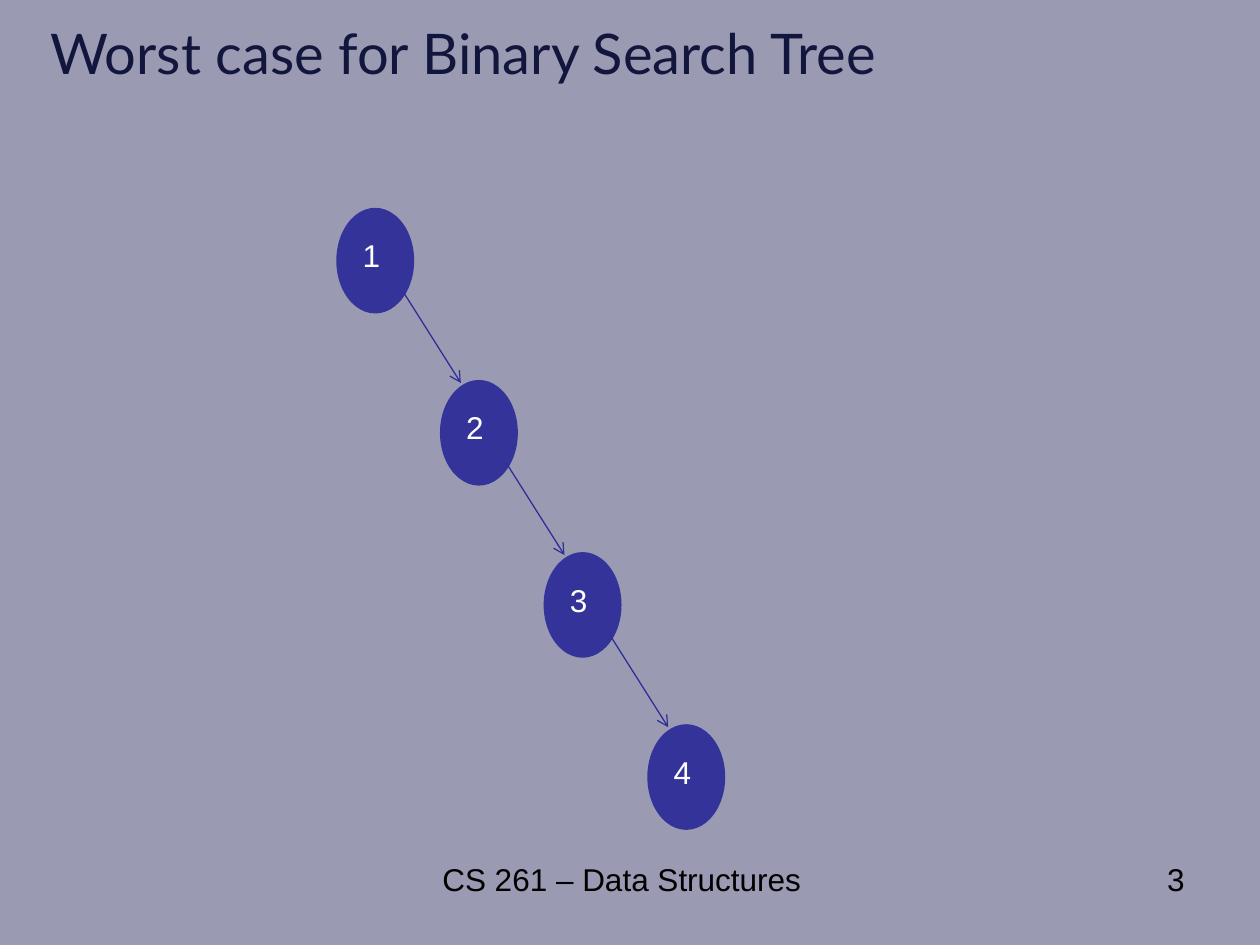
from dataclasses import dataclass

import pptx
import pptx.dml.color
import pptx.enum.shapes
import pptx.enum.text
import pptx.oxml
import pptx.oxml.ns
import pptx.shapes.group
import pptx.util

Cm = pptx.util.Cm
Align = pptx.enum.text.PP_ALIGN
Anchor = pptx.enum.text.MSO_ANCHOR

BACKGROUND = "9B9AB3"
NODE_FILL = "333399"
ARROW_LINE = "2F2F98"
FIRST_LEFT, FIRST_TOP = 6.78, 4.19
STEP_X, STEP_Y = 2.09, 3.47
NODE_WIDTH, NODE_HEIGHT = 1.57, 2.13


@dataclass
class Node:
    label: str
    left: float
    top: float


def color(value: str) -> pptx.dml.color.RGBColor:
    return pptx.dml.color.RGBColor.from_string(value)


def add_text(shapes, text: str, left: float, top: float, width: float, height: float, *,
             font: str = "Arial", size: int = 18, ink: str = "000000", align=Align.LEFT,
             anchor=Anchor.TOP, wrap: bool = True, right_margin: float = 0.25) -> None:
    box = shapes.add_textbox(Cm(left), Cm(top), Cm(width), Cm(height))
    frame = box.text_frame
    frame.word_wrap = wrap
    frame.vertical_anchor = anchor
    frame.margin_right = Cm(right_margin)
    paragraph = frame.paragraphs[0]
    paragraph.alignment = align
    run = paragraph.add_run()
    run.text = text
    run.font.name = font
    run.font.size = pptx.util.Pt(size)
    run.font.color.rgb = color(ink)


def add_node(group: pptx.shapes.group.GroupShape, node: Node) -> None:
    shape = group.shapes.add_shape(pptx.enum.shapes.MSO_SHAPE.OVAL, Cm(node.left), Cm(node.top),
                                   Cm(NODE_WIDTH), Cm(NODE_HEIGHT))
    shape.shadow.inherit = False
    shape.fill.solid()
    shape.fill.fore_color.rgb = color(NODE_FILL)
    shape.line.fill.background()
    add_text(group.shapes, node.label, node.left + 0.28, node.top + 0.45, 0.64, 1.02,
             ink="FFFFFF", wrap=False, right_margin=0)


def add_arrow(group: pptx.shapes.group.GroupShape, parent: Node, child: Node) -> None:
    connector = group.shapes.add_connector(
        pptx.enum.shapes.MSO_CONNECTOR.STRAIGHT,
        Cm(parent.left + 1.34), Cm(parent.top + 1.68),
        Cm(child.left + 0.42), Cm(child.top + 0.06))
    connector.line.color.rgb = color(ARROW_LINE)
    connector.line.width = pptx.util.Pt(0.75)
    namespace = pptx.oxml.ns.nsdecls("a")
    connector.line._get_or_add_ln().append(
        pptx.oxml.parse_xml(f'<a:tailEnd {namespace} type="arrow"/>'))
    connector._element.spPr.append(pptx.oxml.parse_xml(f"<a:effectLst {namespace}/>"))


def main() -> None:
    presentation = pptx.Presentation()
    presentation.slide_width = Cm(25.4)
    presentation.slide_height = Cm(19.05)
    slide = presentation.slides.add_slide(presentation.slide_layouts[6])
    slide.background.fill.solid()
    slide.background.fill.fore_color.rgb = color(BACKGROUND)

    add_text(slide.shapes, "Worst case for Binary Search Tree", 0.76, 0.2, 22.86, 1.7,
             font="Lato", size=32, ink="12163D", anchor=Anchor.MIDDLE)
    add_text(slide.shapes, "CS 261 – Data Structures", 7.72, 17.22, 9.63, 1.32,
             align=Align.CENTER)
    add_text(slide.shapes, "3", 18.21, 17.22, 5.92, 1.32, align=Align.RIGHT)

    nodes = [Node(str(index + 1), FIRST_LEFT + index * STEP_X, FIRST_TOP + index * STEP_Y)
             for index in range(4)]
    tree = slide.shapes.add_group_shape()
    for node in nodes:
        add_node(tree, node)
    for parent, child in zip(nodes, nodes[1:]):
        add_arrow(tree, parent, child)

    presentation.save("out.pptx")


if __name__ == "__main__":
    main()
